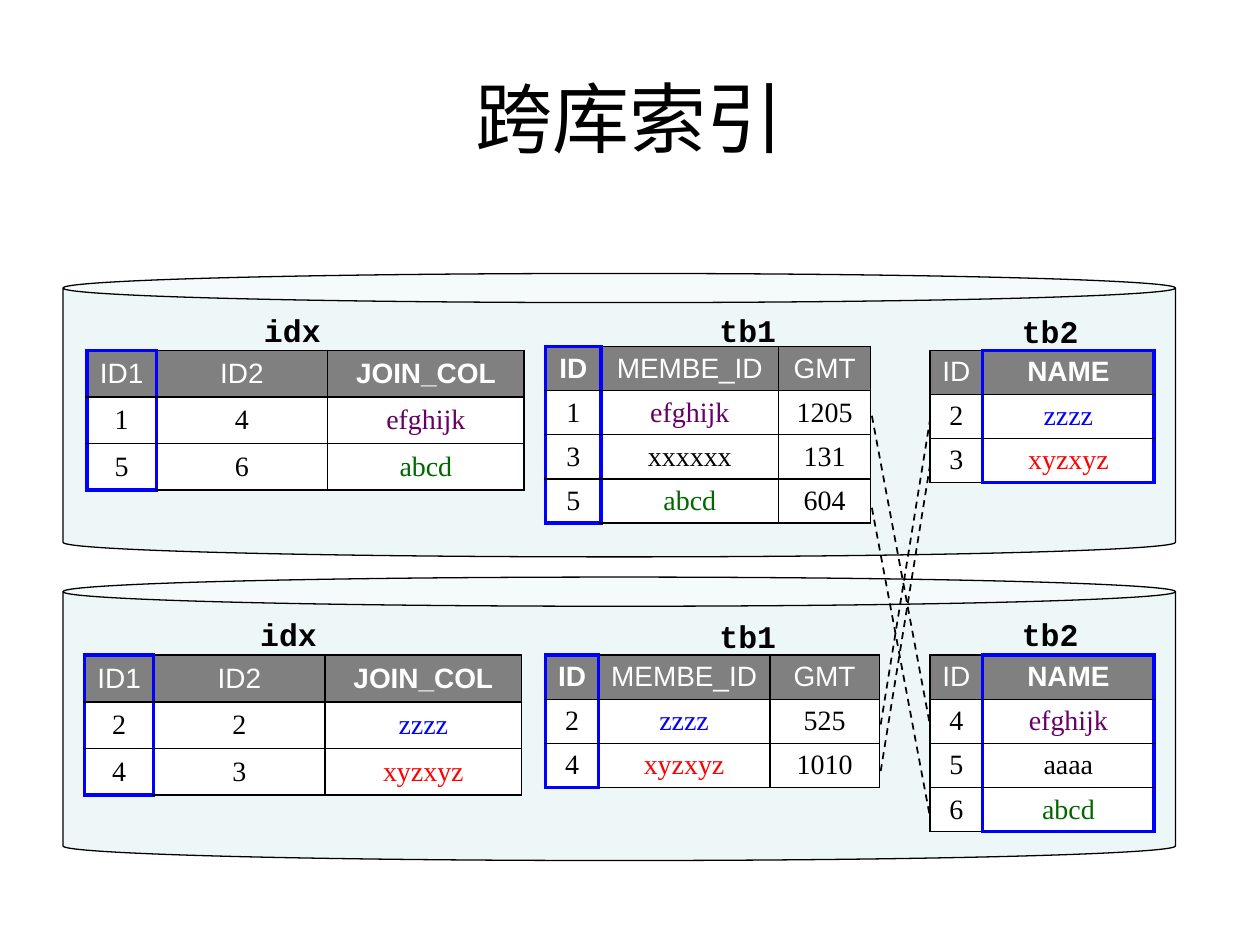
from dataclasses import dataclass

import pptx
import pptx.dml.color
import pptx.enum.dml
import pptx.enum.shapes
import pptx.enum.text
import pptx.oxml
import pptx.oxml.ns
import pptx.util
from pptx.util import Inches

BLACK, WHITE, BLUE, GRAY = "000000", "FFFFFF", "0000FF", "808080"
VALUE_COLORS = {"efghijk": "660066", "abcd": "006600", "zzzz": BLUE, "xyzxyz": "FF0000"}
CENTER = pptx.enum.text.PP_ALIGN.CENTER
MIDDLE = pptx.enum.text.MSO_ANCHOR.MIDDLE
DRAWING_NS = pptx.oxml.ns.nsdecls("a")


@dataclass
class Label:
    text: str
    left: float
    top: float
    width: float


@dataclass
class DataTable:
    label: Label
    left: float
    top: float
    columns: list[float]
    row_height: float
    key_column: int
    bold_column: int
    rows: list[str]


@dataclass
class Link:
    start: tuple[float, float]
    end: tuple[float, float]


IDX_COLUMNS = [0.55, 1.36, 1.56]
TB2_COLUMNS = [0.42, 1.36]
IDX_HEADER, TB1_HEADER, TB2_HEADER = "ID1 ID2 JOIN_COL", "ID MEMBE_ID GMT", "ID NAME"

CYLINDER_TOPS = [4.58, 2.17]
TABLES = [
    # Upper database
    DataTable(Label("idx", 1.53, 2.42, 1.58), 0.69, 2.78, IDX_COLUMNS, 0.37, 0, 2,
              [IDX_HEADER, "1 4 efghijk", "5 6 abcd"]),
    DataTable(Label("tb1", 5.52, 2.42, 0.83), 4.33, 2.75, [0.44, 1.41, 0.73], 0.35, 0, 0,
              [TB1_HEADER, "1 efghijk 1205", "3 xxxxxx 131", "5 abcd 604"]),
    DataTable(Label("tb2", 7.92, 2.43, 0.83), 7.38, 2.78, TB2_COLUMNS, 0.35, 1, 1,
              [TB2_HEADER, "2 zzzz", "3 xyzxyz"]),
    # Lower database
    DataTable(Label("idx", 1.5, 4.83, 1.58), 0.67, 5.2, IDX_COLUMNS, 0.37, 0, 2,
              [IDX_HEADER, "2 2 zzzz", "4 3 xyzxyz"]),
    DataTable(Label("tb1", 5.52, 4.85, 0.83), 4.33, 5.2, [0.42, 1.36, 0.87], 0.35, 0, 0,
              [TB1_HEADER, "2 zzzz 525", "4 xyzxyz 1010"]),
    DataTable(Label("tb2", 7.92, 4.83, 0.83), 7.38, 5.2, TB2_COLUMNS, 0.35, 1, 1,
              [TB2_HEADER, "4 efghijk", "5 aaaa", "6 abcd"]),
]
LINKS = [
    Link((6.92, 3.3), (7.38, 5.75)),
    Link((6.92, 4.03), (7.38, 6.48)),
    Link((6.99, 5.75), (7.38, 3.34)),
    Link((6.99, 6.12), (7.38, 3.7)),
]


def color(value: str) -> pptx.dml.color.RGBColor:
    return pptx.dml.color.RGBColor.from_string(value)


def apply(target, values: dict) -> None:
    for name, value in values.items():
        setattr(target, name, value)


def write(frame, text: str, font: str, size: float, ink: str = BLACK, bold: bool = False) -> None:
    para = frame.paragraphs[0]
    para.alignment = CENTER
    span = para.add_run()
    span.text = text
    apply(span.font, {"name": font, "size": pptx.util.Pt(size), "bold": bold})
    span.font.color.rgb = color(ink)
    # East Asian glyphs take their own typeface entry
    span.font._element.append(pptx.oxml.parse_xml(f'<a:ea {DRAWING_NS} typeface="{font}"/>'))


def add_text(page, at: tuple[float, float, float, float], text: str, font: str,
             size: float, format_values: dict) -> None:
    box = page.shapes.add_textbox(*map(Inches, at))
    apply(box.text_frame, {"word_wrap": True, **format_values})
    write(box.text_frame, text, font, size, bold=font == "Courier New")


def add_cylinder(page, top: float) -> None:
    can = page.shapes.add_shape(pptx.enum.shapes.MSO_SHAPE.CAN, Inches(0.5), Inches(top),
                                Inches(8.83), Inches(2.25))
    can.shadow.inherit = False
    can.adjustments[0] = 0.103
    can.fill.solid()
    can.fill.fore_color.rgb = color("BBE0E3")
    fill_color = can._element.spPr.find(".//" + pptx.oxml.ns.qn("a:srgbClr"))
    fill_color.append(pptx.oxml.parse_xml(f'<a:alpha {DRAWING_NS} val="24000"/>'))
    can.line.color.rgb = color(BLACK)
    can.line.width = pptx.util.Pt(0.75)


def add_borders(cell, blue_sides: dict[str, bool]) -> None:
    properties = cell._tc.get_or_add_tcPr()
    for side, is_blue in blue_sides.items():
        ink, width = (BLUE, 2.25) if is_blue else (BLACK, 1)
        properties.append(pptx.oxml.parse_xml(
            f'<a:ln{side} {DRAWING_NS} w="{pptx.util.Pt(width)}"><a:solidFill>'
            f'<a:srgbClr val="{ink}"/></a:solidFill></a:ln{side}>'))


def add_data_table(page, data: DataTable) -> None:
    row_count, column_count = len(data.rows), len(data.columns)
    frame = page.shapes.add_table(
        row_count, column_count, Inches(data.left), Inches(data.top),
        Inches(sum(data.columns)), Inches(data.row_height * row_count))
    table = frame.table
    apply(table, {"first_row": False, "horz_banding": False})
    for column, width in zip(table.columns, data.columns):
        column.width = Inches(width)
    key = data.key_column
    for r, row in enumerate(data.rows):
        table.rows[r].height = Inches(data.row_height)
        for c, text in enumerate(row.split()):
            cell = table.cell(r, c)
            apply(cell, {"vertical_anchor": MIDDLE,
                         "margin_left": Inches(0.05), "margin_right": Inches(0.05),
                         "margin_top": Inches(0.03), "margin_bottom": Inches(0.03)})
            # The blue frame runs around the key column
            add_borders(cell, {"L": c in (key, key + 1), "R": c in (key - 1, key),
                               "T": c == key and r == 0,
                               "B": c == key and r == row_count - 1})
            cell.fill.solid()
            cell.fill.fore_color.rgb = color(WHITE if r else GRAY)
            if r:
                write(cell.text_frame, text, "Times New Roman", 16, VALUE_COLORS.get(text, BLACK))
            else:
                write(cell.text_frame, text, "Arial", 16, WHITE, c == data.bold_column)


def add_link(page, link: Link) -> None:
    line = page.shapes.add_connector(pptx.enum.shapes.MSO_CONNECTOR.STRAIGHT,
                                     *map(Inches, link.start + link.end))
    line.line.color.rgb = color(BLACK)
    apply(line.line, {"width": pptx.util.Pt(1),
                      "dash_style": pptx.enum.dml.MSO_LINE.DASH})
    line._element.spPr.append(pptx.oxml.parse_xml(f"<a:effectLst {DRAWING_NS}/>"))


def main() -> None:
    deck = pptx.Presentation()
    apply(deck, {"slide_width": Inches(10), "slide_height": Inches(7.5)})
    page = deck.slides.add_slide(deck.slide_layouts[6])

    # Databases and title
    for top in CYLINDER_TOPS:
        add_cylinder(page, top)
    add_text(page, (0.5, 0.3, 9, 1.25), "跨库索引", "Noto Sans CJK SC", 44,
             {"vertical_anchor": MIDDLE})

    # Tables with their names
    for data in TABLES:
        add_data_table(page, data)
        label = data.label
        add_text(page, (label.left, label.top, label.width, 0.4), label.text, "Courier New", 18,
                 {"auto_size": pptx.enum.text.MSO_AUTO_SIZE.SHAPE_TO_FIT_TEXT})

    # Links between rows of different databases
    for link in LINKS:
        add_link(page, link)

    deck.save("out.pptx")


if __name__ == "__main__":
    main()
